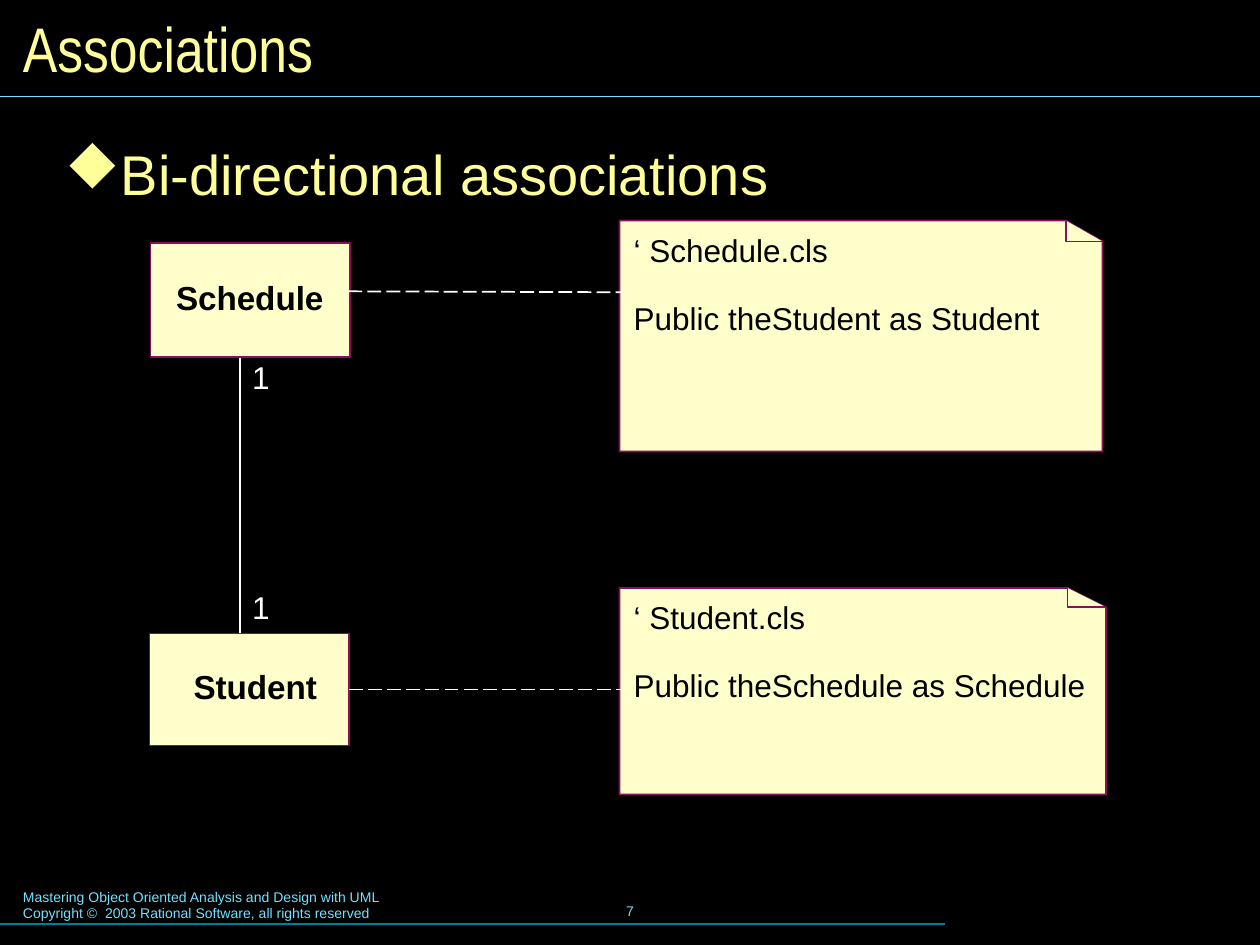
from lxml.etree import SubElement
from pptx import Presentation
from pptx.dml.color import RGBColor
from pptx.enum.dml import MSO_LINE
from pptx.enum.shapes import MSO_CONNECTOR, MSO_SHAPE
from pptx.enum.text import MSO_ANCHOR, PP_ALIGN
from pptx.oxml.ns import qn
from pptx.util import Pt

BLACK = RGBColor(0x00, 0x00, 0x00)
WHITE = RGBColor(0xFF, 0xFF, 0xFF)
YELLOW = RGBColor(0xFF, 0xFF, 0x99)
CREAM = RGBColor(0xFF, 0xFF, 0xCC)
PLUM = RGBColor(0x8A, 0x0E, 0x5E)
SKY = RGBColor(0x73, 0xE1, 0xFF)
TEAL = RGBColor(0x00, 0x7E, 0x9F)


class DiagramSlide:
    def __init__(self, deck):
        self.page = deck.slides.add_slide(deck.slide_layouts[6])
        self.shapes = self.page.shapes
        background = self.page.background.fill
        background.solid()
        background.fore_color.rgb = BLACK

    def text(self, left, top, width, height, lines, size, color, font="Arial", bold=False,
             wrap=False, anchor=MSO_ANCHOR.TOP, align=PP_ALIGN.LEFT, spacing=None, gap=0):
        """Add a text box; gap is the space between its paragraphs."""
        box = self.shapes.add_textbox(Pt(left), Pt(top), Pt(width), Pt(height))
        frame = box.text_frame
        frame.text = "\n".join(lines)
        frame.word_wrap = wrap
        frame.vertical_anchor = anchor
        for index, para in enumerate(frame.paragraphs):
            para.alignment = align
            if spacing:
                para.line_spacing = spacing
            if index and gap:
                para.space_before = Pt(gap)
            for span in para.runs:
                span.font.name = font
                span.font.size = Pt(size)
                span.font.bold = bold
                span.font.color.rgb = color
        return box

    def bullet(self, left, top, width, height, line, size, color):
        """Add a paragraph with a diamond bullet, which is the letter u in Wingdings."""
        box = self.text(left, top, width, height, [line], size, color, wrap=True, spacing=0.8)
        frame = box.text_frame
        frame.margin_left = frame.margin_right = Pt(8.64)
        frame.margin_top = frame.margin_bottom = Pt(4.32)
        properties = frame.paragraphs[0]._p.get_or_add_pPr()
        properties.set("marL", str(Pt(26.6)))
        properties.set("indent", str(Pt(-26.6)))
        bullet_color = SubElement(properties, qn("a:buClr"))
        SubElement(bullet_color, qn("a:srgbClr"), val=str(color))
        SubElement(properties, qn("a:buFont"), typeface="Wingdings", charset="2")
        SubElement(properties, qn("a:buChar"), char="u")

    def paint(self, shape):
        shape.shadow.inherit = False
        shape.fill.solid()
        shape.fill.fore_color.rgb = CREAM
        shape.line.color.rgb = PLUM
        shape.line.width = Pt(1)

    def class_box(self, left, top, width, height):
        box = self.shapes.add_shape(MSO_SHAPE.RECTANGLE, Pt(left), Pt(top), Pt(width), Pt(height))
        self.paint(box)
        return box

    def outline(self, points, close):
        builder = self.shapes.build_freeform(*points[0], scale=Pt(1))
        builder.add_line_segments(points[1:], close=close)
        self.paint(builder.convert_to_shape())

    def note(self, left, top, width, height, fold_width, fold_height):
        """Add a UML note with a folded top right corner."""
        right, bottom = left + width, top + height
        fold_left, fold_bottom = right - fold_width, top + fold_height
        self.outline([(right, bottom), (left, bottom), (left, top),
                      (fold_left, top), (right, fold_bottom)], close=True)
        self.outline([(right, fold_bottom), (fold_left, fold_bottom), (fold_left, top)],
                     close=False)

    def note_text(self, left, top, lines):
        self.text(left, top, 280, 65, lines, 18, BLACK, wrap=True, spacing=0.9, gap=19.5)

    def line(self, start, end, color, width=1, dashed=False):
        connector = self.shapes.add_connector(
            MSO_CONNECTOR.STRAIGHT, *(Pt(value) for value in (*start, *end)))
        connector.line.color.rgb = color
        connector.line.width = Pt(width)
        if dashed:
            connector.line.dash_style = MSO_LINE.LONG_DASH
        SubElement(connector._element.spPr, qn("a:effectLst"))
        return connector


def main():
    deck = Presentation()
    deck.slide_width, deck.slide_height = Pt(720), Pt(540)
    slide = DiagramSlide(deck)

    slide.text(6, 504, 367, 27, ["Mastering Object Oriented Analysis and Design with UML",
                                 "Copyright ©  2003 Rational Software, all rights reserved"],
               8, SKY, wrap=True)
    slide.text(246, 502.5, 228, 36, ["7"], 8, SKY, anchor=MSO_ANCHOR.MIDDLE,
               align=PP_ALIGN.CENTER)
    slide.line((0, 528), (540, 528), TEAL, 0.75)
    slide.line((0, 55), (720, 55), SKY, 0.75)

    slide.class_box(86, 139, 114, 65)
    student_box = slide.class_box(85.5, 362, 114, 64)
    slide.note(354, 336, 277.5, 117.5, 21, 11)
    slide.note(354, 126, 276, 131.5, 21, 12.5)

    slide.text(93.5, 157.5, 99, 28, ["Schedule"], 19, BLACK, bold=True, spacing=0.9)
    slide.text(103.5, 380, 85, 28, ["Student"], 19, BLACK, bold=True, spacing=0.9)

    slide.line((137, 204.5), (137, 361.5), WHITE)
    slide.line((199, 166.5), (355.5, 167), WHITE, dashed=True)
    student_link = slide.line((199.5, 394), (359, 394), WHITE, dashed=True)
    student_link.begin_connect(student_box, 3)

    slide.note_text(355, 340.5, ["‘ Student.cls", "Public theSchedule as Schedule"])
    slide.note_text(355, 131, ["‘ Schedule.cls", "Public theStudent as Student"])
    for top in (332.5, 201):
        slide.text(137, top, 24, 29, ["1"], 18, WHITE)

    slide.text(6, 6, 708, 42, ["Associations"], 36, YELLOW, font="Arial Narrow", wrap=True,
               anchor=MSO_ANCHOR.MIDDLE)
    slide.bullet(28.5, 83, 669, 397, "Bi-directional associations", 32, YELLOW)

    deck.save("out.pptx")


if __name__ == "__main__":
    main()
